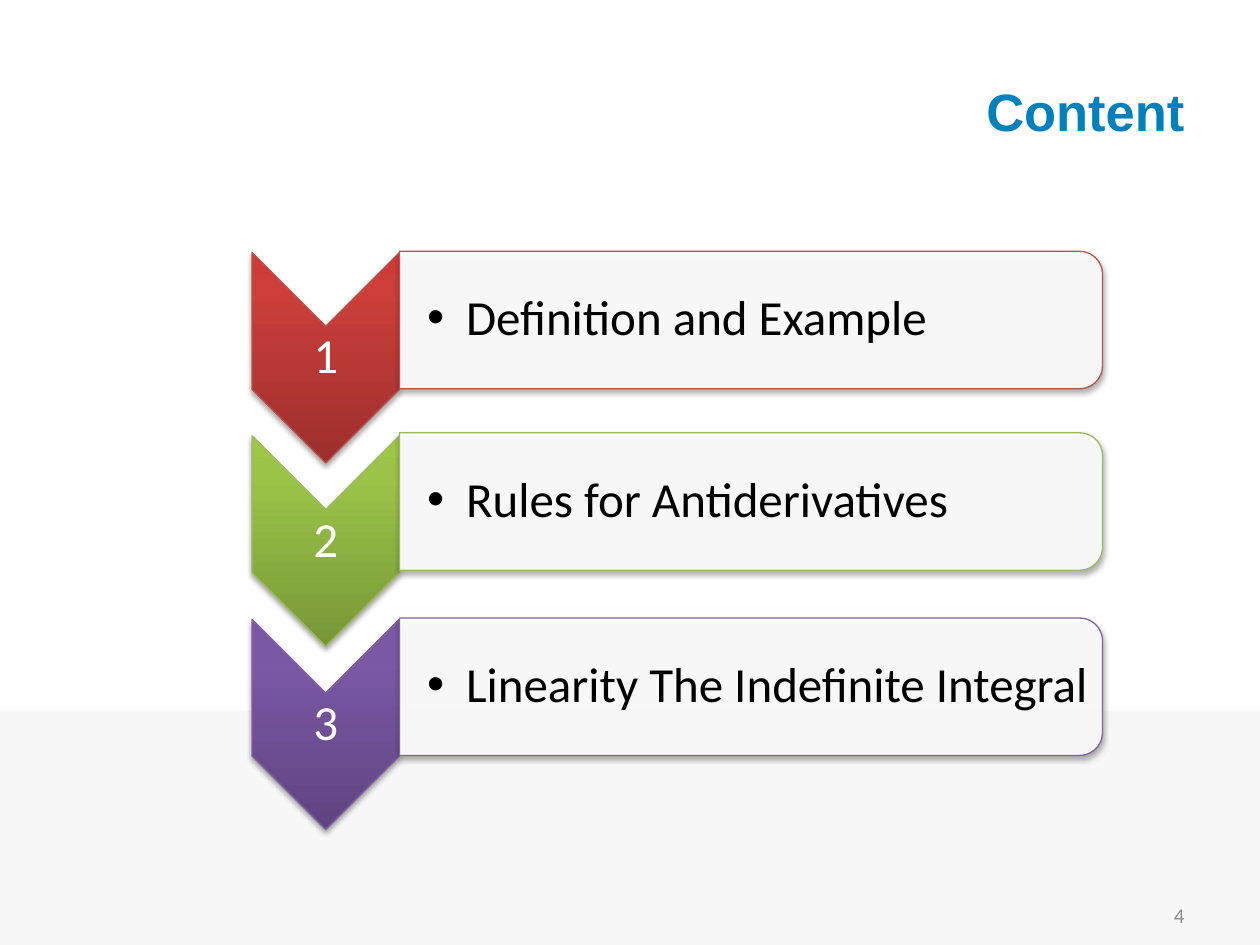
from lxml import etree
from pptx import Presentation
from pptx.dml.color import RGBColor
from pptx.enum import shapes, text
from pptx.oxml.ns import qn
from pptx.util import Inches, Pt

ROW_PITCH = 1.455
# label, panel centre, line colour, chevron gradient from bottom to top
ROWS = [
    ("Definition and Example", 2.54, "C0504D", ("9C2F2D", "CB3E3A", "CE3B37")),
    ("Rules for Antiderivatives", 3.98, "9BBB59", ("779737", "9BC348", "9DC746")),
    ("Linearity The Indefinite Integral", 5.45, "8064A2", ("5F4480", "7B58A6", "7C57A8")),
]


def rgb(value):
    return RGBColor.from_string(value)


def sub(parent, tag, **attrs):
    return etree.SubElement(parent, qn(tag), {k: str(v) for k, v in attrs.items()})


def add_shape(slide, kind, left, top, width, height, fill, line=None):
    sp = slide.shapes.add_shape(kind, Inches(left), Inches(top), Inches(width), Inches(height))
    sp.shadow.inherit = False
    sp.fill.solid()
    sp.fill.fore_color.rgb = rgb(fill)
    if line:
        sp.line.color.rgb = rgb(line)
        sp.line.width = Pt(0.75)
    else:
        sp.line.fill.background()
    return sp


def add_turned_shape(slide, kind, center_x, center_y, width, height, fill, line):
    """Add a shape turned a quarter clockwise, with a soft shadow below it."""
    sp = add_shape(slide, kind, center_x - width / 2, center_y - height / 2,
                   width, height, fill, line)
    sp.rotation = 90
    effects = sp._element.spPr.find(qn("a:effectLst"))
    shadow = sub(effects, "a:outerShdw", blurRad=Pt(3.1), dist=Pt(1.8),
                 dir=5400000, rotWithShape=0)
    color = sub(shadow, "a:srgbClr", val="000000")
    sub(color, "a:alpha", val=35000)
    return sp


def set_gradient(sp, colors):
    """Fill upwards, whichever way the shape is turned."""
    sp.fill.gradient()
    grad = sp._element.spPr.find(qn("a:gradFill"))
    for child in list(grad):
        grad.remove(child)
    grad.set("rotWithShape", "0")
    stops = sub(grad, "a:gsLst")
    for position, color in zip((0, 80000, 100000), colors):
        sub(sub(stops, "a:gs", pos=position), "a:srgbClr", val=color)
    sub(grad, "a:lin", ang=16200000, scaled=0)


def add_text(slide, content, left, top, width, height, size, color,
             font="Calibri", align=text.PP_ALIGN.LEFT, bold=False,
             insets=(0.1, 0.05, 0.1, 0.05), spacing=None, bullet=False):
    box = slide.shapes.add_textbox(Inches(left), Inches(top), Inches(width), Inches(height))
    tf = box.text_frame
    tf.word_wrap = True
    tf.vertical_anchor = text.MSO_ANCHOR.MIDDLE
    tf.margin_left, tf.margin_top, tf.margin_right, tf.margin_bottom = map(Inches, insets)
    p = tf.paragraphs[0]
    p.text = content
    p.alignment = align
    if spacing:
        p.line_spacing = spacing
    if bullet:
        pPr = p._p.get_or_add_pPr()
        pPr.set("marL", str(Inches(0.31)))
        pPr.set("indent", str(-Inches(0.31)))
        sub(pPr, "a:buFont", typeface="Arial")
        sub(pPr, "a:buChar", char="•")
    p.font.name = font
    p.font.size = Pt(size)
    p.font.bold = bold
    p.font.color.rgb = rgb(color)


def add_row(slide, index, label, panel_y, line, gradient):
    chevron_y = 2.84 + index * ROW_PITCH
    chevron = add_turned_shape(slide, shapes.MSO_SHAPE.CHEVRON, 2.585, chevron_y,
                               1.67, 1.17, gradient[0], line)
    set_gradient(chevron, gradient)
    add_text(slide, str(index + 1), 2, chevron_y - 0.25, 1.17, 0.5, 28, "FFFFFF",
             align=text.PP_ALIGN.CENTER, insets=(0.02,) * 4, spacing=0.9)

    panel = add_turned_shape(slide, shapes.MSO_SHAPE.ROUND_2_SAME_RECTANGLE, 5.96, panel_y,
                             1.09, 5.58, "FFFFFF", line)
    fill_color = panel._element.spPr.find(qn("a:solidFill"))[0]
    sub(fill_color, "a:alpha", val=90000)
    add_text(slide, label, 3.17, panel_y - 0.49, 5.53, 0.98, 28, "000000",
             insets=(0.22, 0.02, 0.02, 0.02), spacing=0.9, bullet=True)


def main():
    prs = Presentation()
    prs.slide_width, prs.slide_height = Inches(10), Inches(7.5)
    slide = prs.slides.add_slide(prs.slide_layouts[6])
    add_shape(slide, shapes.MSO_SHAPE.RECTANGLE, 0, 5.64, 10, 1.86, "F7F7F7")
    add_text(slide, "4", 7.17, 7.06, 2.33, 0.4, 12, "8C8C8C", align=text.PP_ALIGN.RIGHT)
    for index, row in enumerate(ROWS):
        add_row(slide, index, *row)
    add_text(slide, "Content", 0.5, 0.25, 9, 1.25, 30, "0081BD", font="Arial",
             align=text.PP_ALIGN.RIGHT, bold=True)
    prs.save("out.pptx")


if __name__ == "__main__":
    main()
